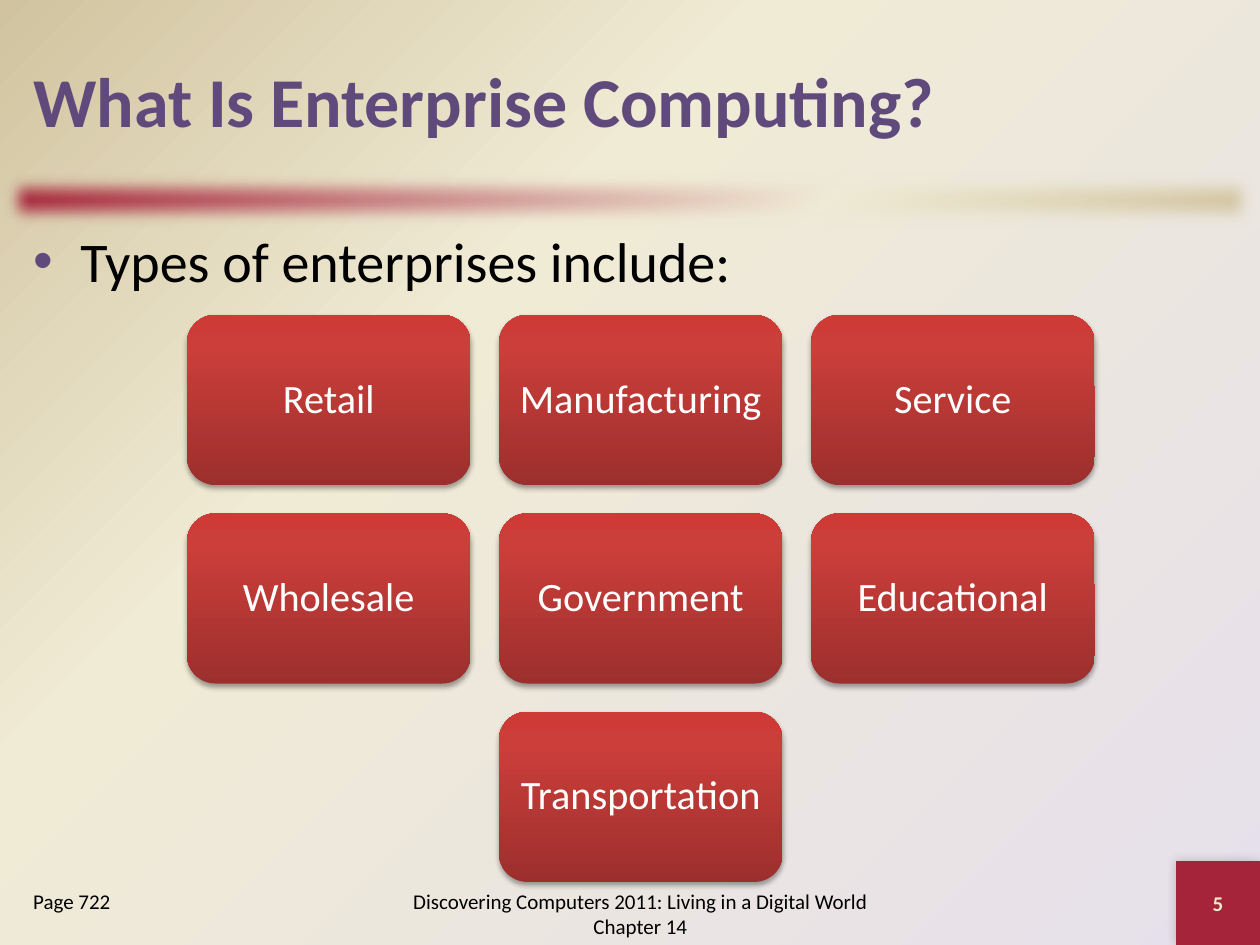
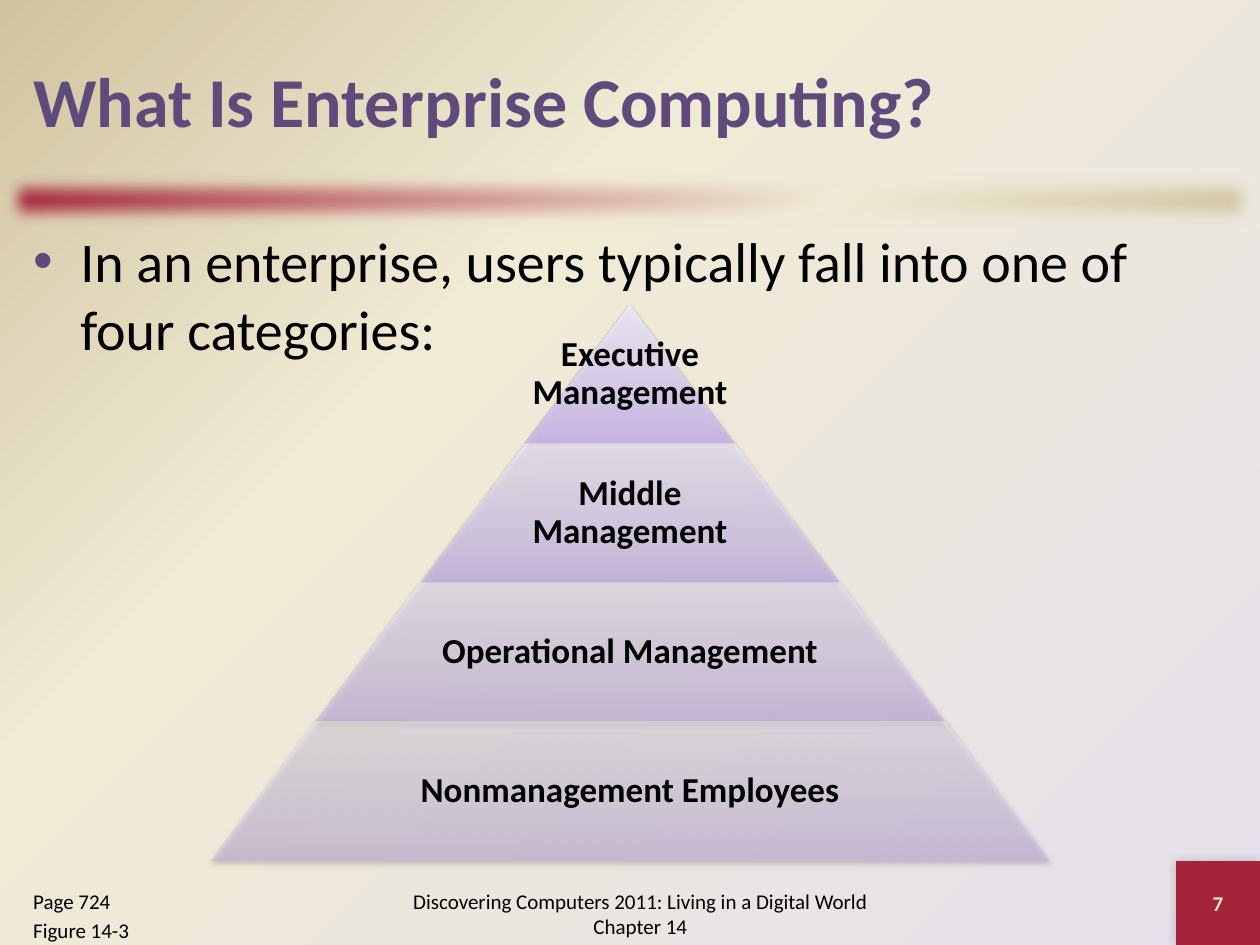
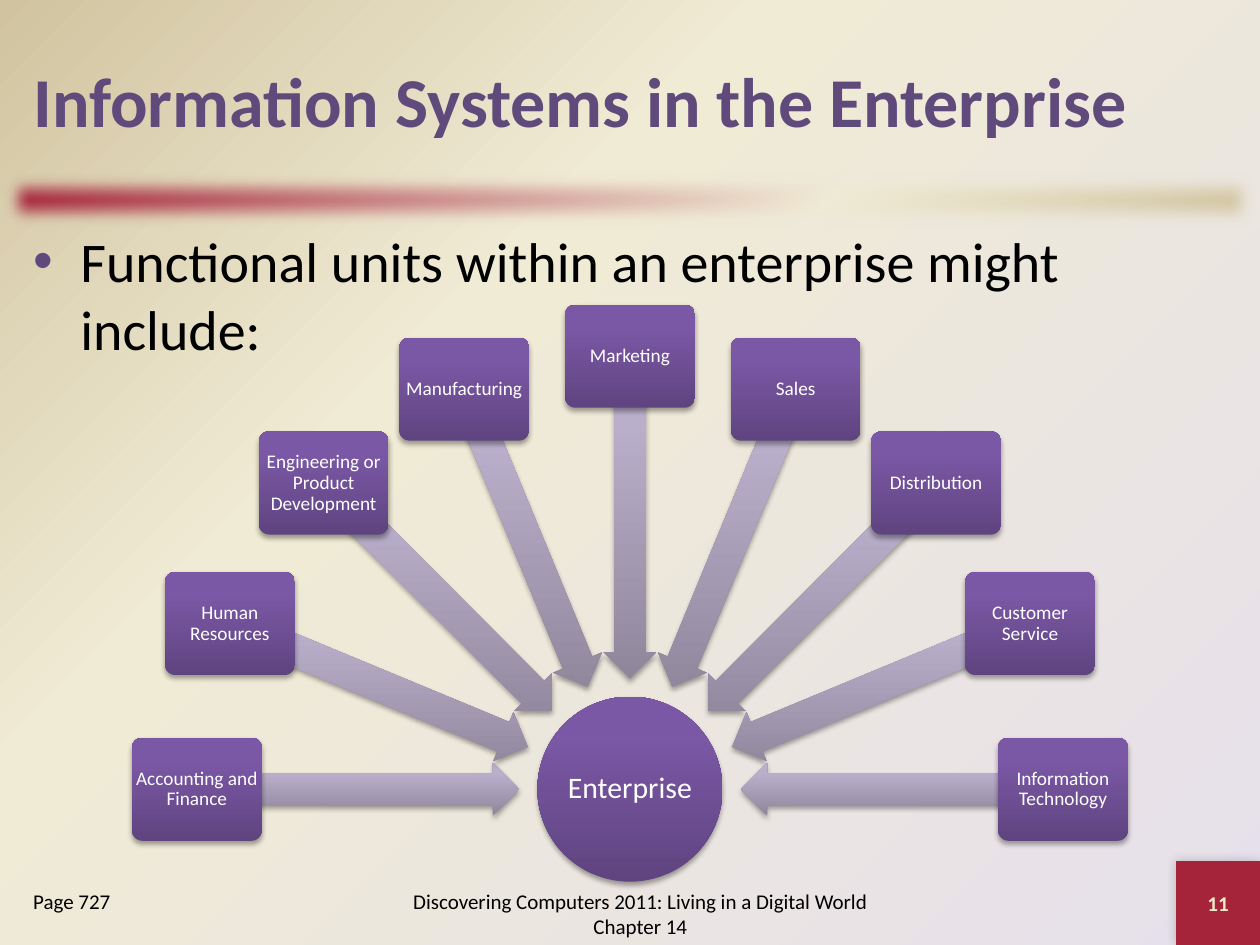
from math import cos, radians, sin

from pptx import Presentation
from pptx.dml.color import RGBColor
from pptx.enum.shapes import MSO_SHAPE
from pptx.enum.text import MSO_ANCHOR, MSO_AUTO_SIZE, PP_ALIGN
from pptx.oxml import parse_xml
from pptx.oxml.ns import nsdecls, qn
from pptx.util import Cm, Pt

FONT = "Calibri"
COLORS = {
    "purple": "604A7B", "crimson": "A52439", "cream": "F0EBD5", "sand": "D1C39F",
    "lilac": "E6E0EC", "ivory": "EEEBCA", "black": "000000", "white": "FFFFFF",
    "red dark": "9C2F2D", "red mid": "CB3E3A", "red light": "CE3B37",
    "violet dark": "5F4480", "violet mid": "7B58A6", "violet light": "7C57A8",
    "arrow dark": "8F869C", "arrow mid": "BAAFCB", "arrow light": "BAAFCC",
    "lavender dark": "C9B5E8", "lavender mid": "D8CBEE", "lavender light": "F0EAF9",
}

UPWARD = '<a:lin ang="16200000" scaled="0"/>'
DIAGONAL = '<a:lin ang="2700000" scaled="1"/>'
FROM_CORNER = '<a:path path="circle"><a:fillToRect l="100000" t="100000"/></a:path>'

SHADOW = (
    f'<a:outerShdw {nsdecls("a")} blurRad="{{}}" dist="{{}}" dir="{{}}" rotWithShape="0">'
    '<a:srgbClr val="000000"><a:alpha val="{}"/></a:srgbClr></a:outerShdw>'
)
DROP = SHADOW.format(Pt(3.1), Pt(1.8), 5400000, 35000)
CORNER_SHADOW = SHADOW.format(Pt(6), 0, 13500000, 20000)
SOFT_EDGE = f'<a:softEdge {nsdecls("a")} rad="{Cm(0.35)}"/>'

# Look of each kind of figure: colour stops, gradient direction, effect
LOOKS = {
    "band": ([(0, "crimson"), (65, "cream"), (100, "sand")], DIAGONAL, SOFT_EDGE),
    "corner": ([(0, "crimson")], None, CORNER_SHADOW),
    "enterprise type": ([(0, "red dark"), (80, "red mid"), (100, "red light")], UPWARD, DROP),
    "level": ([(0, "lavender dark"), (35, "lavender mid"), (100, "lavender light")], UPWARD, DROP),
    "unit": ([(0, "violet dark"), (80, "violet mid"), (100, "violet light")], UPWARD, DROP),
    "arrow": ([(0, "arrow dark"), (80, "arrow mid"), (100, "arrow light")], UPWARD, DROP),
}


def paint_gradient(properties, stops, direction, alpha=100):
    """Replace the solid fill in the properties element with a gradient."""
    stop_xml = "".join(
        f'<a:gs pos="{position * 1000}"><a:srgbClr val="{COLORS[name]}">'
        f'<a:alpha val="{alpha * 1000}"/></a:srgbClr></a:gs>'
        for position, name in stops
    )
    gradient = parse_xml(
        f'<a:gradFill {nsdecls("a")} rotWithShape="0"><a:gsLst>{stop_xml}</a:gsLst>'
        f"{direction}</a:gradFill>"
    )
    properties.replace(properties.find(qn("a:solidFill")), gradient)


def write(shape, lines, size, color, bold=False, align=PP_ALIGN.CENTER,
          anchor=MSO_ANCHOR.MIDDLE, inset=None, spacing=None):
    """Write one paragraph per line; inset is the side margin in cm."""
    frame = shape.text_frame
    frame.word_wrap = True
    frame.auto_size = MSO_AUTO_SIZE.NONE
    frame.vertical_anchor = anchor
    if inset is not None:
        frame.margin_left = frame.margin_right = Cm(inset)
    for index, line in enumerate(lines):
        paragraph = frame.add_paragraph() if index else frame.paragraphs[0]
        paragraph.alignment = align
        paragraph.line_spacing = spacing
        if index:
            paragraph.space_before = Pt(size * 0.2)
        run = paragraph.add_run()
        run.text = line
        run.font.name = FONT
        run.font.size = Pt(size)
        run.font.bold = bold
        run.font.color.rgb = RGBColor.from_string(COLORS[color])


presentation = Presentation()
presentation.slide_width = Cm(25.4)
presentation.slide_height = Cm(19.05)
master = presentation.slide_master
title_only = presentation.slide_layouts[5]
figures = []  # (shape, look, opacity)

master.background.fill.solid()
paint_gradient(master._element.find(".//" + qn("p:bgPr")),
               [(0, "lilac"), (65, "cream"), (100, "sand")], FROM_CORNER)

# Title, bullet, page reference and number of every slide
CONTENT = [
    ("What Is Enterprise Computing?", "Types of enterprises include:", ["Page 722"], "5"),
    ("What Is Enterprise Computing?",
     "In an enterprise, users typically fall into one of four categories:",
     ["Page 724", "Figure 14-3"], "7"),
    ("Information Systems in the Enterprise",
     "Functional units within an enterprise might include:", ["Page 727"], "11"),
]
FOOTER = "Discovering Computers 2011: Living in a Digital World Chapter 14"

slides = []
for title_text, bullet_text, page_lines, number in CONTENT:
    slide = presentation.slides.add_slide(title_only)
    slides.append(slide)
    title = slide.shapes.title
    title.left, title.top, title.width, title.height = Cm(0.42), Cm(0.42), Cm(24.56), Cm(3.18)
    write(title, [title_text], 40, "purple", True, PP_ALIGN.LEFT)

    body = slide.shapes.add_textbox(Cm(0.42), Cm(4.45), Cm(24.56), Cm(12.9))
    properties = body.text_frame.paragraphs[0]._p.get_or_add_pPr()
    properties.set("marL", str(Cm(0.95)))
    properties.set("indent", str(-Cm(0.95)))
    for bullet_xml in (
        f'<a:buClr {nsdecls("a")}><a:srgbClr val="{COLORS["purple"]}"/></a:buClr>',
        f'<a:buFont {nsdecls("a")} typeface="Arial"/>',
        f'<a:buChar {nsdecls("a")} char="•"/>',
    ):
        properties.append(parse_xml(bullet_xml))
    write(body, [bullet_text], 32, "black", align=PP_ALIGN.LEFT, anchor=MSO_ANCHOR.TOP)

    footer = slide.shapes.add_textbox(Cm(7.62), Cm(17.78), Cm(10.58), Cm(1.27))
    write(footer, [FOOTER], 12, "black")
    slide_number = slide.shapes.add_textbox(Cm(23.71), Cm(17.36), Cm(1.69), Cm(1.69))
    write(slide_number, [number], 12, "ivory", True)
    page = slide.shapes.add_textbox(Cm(0.42), Cm(17.78), Cm(4.66), Cm(1.27))
    write(page, page_lines, 12, "black", align=PP_ALIGN.LEFT, anchor=MSO_ANCHOR.TOP)

types_slide, levels_slide, units_slide = slides

# Band and number corner, shared through the master
band = types_slide.shapes.add_shape(MSO_SHAPE.RECTANGLE, 0, Cm(3.39), Cm(25.4), Cm(1.27))
corner = types_slide.shapes.add_shape(
    MSO_SHAPE.RECTANGLE, Cm(23.71), Cm(17.36), Cm(1.69), Cm(1.69))
master_tree = master._element.find(".//" + qn("p:spTree"))
for shape_id, (shape, look) in enumerate([(band, "band"), (corner, "corner")], 20):
    shape._element.nvSpPr.cNvPr.set("id", str(shape_id))
    master_tree.append(shape._element)
    figures.append((shape, look, 100))

# Types of enterprises: three columns, short rows centred
TYPE_ROWS = [
    ["Retail", "Manufacturing", "Service"],
    ["Wholesale", "Government", "Educational"],
    ["Transportation"],
]
for row, labels in enumerate(TYPE_ROWS):
    first_column = (3 - len(labels)) / 2
    for column, label in enumerate(labels):
        box = types_slide.shapes.add_shape(
            MSO_SHAPE.ROUNDED_RECTANGLE, Cm(3.77 + (first_column + column) * 6.29),
            Cm(6.35 + row * 4), Cm(5.72), Cm(3.43))
        write(box, [label], 23, "white", inset=0.05, spacing=0.9)
        figures.append((box, "enterprise type", 100))

# Pyramid of user levels
LEVELS = [
    ("Executive Management", 90), ("Middle Management", 77),
    ("Operational Management", 63), ("Nonmanagement Employees", 50),
]
CENTER_X, LEVEL_HEIGHT, WIDTH_STEP = 12.7, 2.8, 4.23
for index, (label, opacity) in enumerate(LEVELS):
    top = 6.14 + index * LEVEL_HEIGHT
    width = (index + 1) * WIDTH_STEP
    level = levels_slide.shapes.add_shape(
        MSO_SHAPE.TRAPEZOID, Cm(CENTER_X - width / 2), Cm(top), Cm(width), Cm(LEVEL_HEIGHT))
    level.adjustments[0] = WIDTH_STEP / 2 / LEVEL_HEIGHT
    figures.append((level, "level", opacity))
    text_width = max(WIDTH_STEP, 0.65 * width)
    caption = levels_slide.shapes.add_textbox(
        Cm(CENTER_X - text_width / 2), Cm(top), Cm(text_width), Cm(LEVEL_HEIGHT))
    write(caption, [label], 20, "black", True, inset=0.08, spacing=0.9)

# Functional units on a half circle around the enterprise
UNITS = [
    "Accounting and Finance", "Human Resources", "Engineering or Product Development",
    "Manufacturing", "Marketing", "Sales", "Distribution", "Customer Service",
    "Information Technology",
]
CENTER_Y, HUB_SIZE = 15.91, 3.73
UNIT_RADIUS, UNIT_WIDTH, UNIT_HEIGHT = 8.73, 2.62, 2.08
ARROW_RADIUS, ARROW_LENGTH, ARROW_HEIGHT = 5.47, 6.48, 1.07

hub = units_slide.shapes.add_shape(
    MSO_SHAPE.OVAL, Cm(CENTER_X - HUB_SIZE / 2), Cm(CENTER_Y - HUB_SIZE / 2),
    Cm(HUB_SIZE), Cm(HUB_SIZE))
write(hub, ["Enterprise"], 17, "white", inset=0, spacing=0.9)
figures.append((hub, "unit", 100))

for index, label in enumerate(UNITS):
    angle = 180 + index * 180 / (len(UNITS) - 1)
    across, down = cos(radians(angle)), sin(radians(angle))
    arrow = units_slide.shapes.add_shape(
        MSO_SHAPE.LEFT_ARROW, Cm(CENTER_X + ARROW_RADIUS * across - ARROW_LENGTH / 2),
        Cm(CENTER_Y + ARROW_RADIUS * down - ARROW_HEIGHT / 2),
        Cm(ARROW_LENGTH), Cm(ARROW_HEIGHT))
    arrow.rotation = angle % 360
    arrow.adjustments[0] = 0.6
    arrow.adjustments[1] = 0.5
    figures.append((arrow, "arrow", 100))
    unit = units_slide.shapes.add_shape(
        MSO_SHAPE.ROUNDED_RECTANGLE, Cm(CENTER_X + UNIT_RADIUS * across - UNIT_WIDTH / 2),
        Cm(CENTER_Y + UNIT_RADIUS * down - UNIT_HEIGHT / 2), Cm(UNIT_WIDTH), Cm(UNIT_HEIGHT))
    unit.adjustments[0] = 0.1
    write(unit, [label], 11, "white", inset=0, spacing=0.9)
    figures.append((unit, "unit", 100))

# Fill, line and effect of every figure
for shape, look, opacity in figures:
    stops, direction, effect = LOOKS[look]
    shape.fill.solid()
    shape.fill.fore_color.rgb = RGBColor.from_string(COLORS[stops[0][1]])
    shape.line.fill.background()
    shape.shadow.inherit = False
    properties = shape._element.spPr
    if direction:
        paint_gradient(properties, stops, direction, opacity)
    properties.find(qn("a:effectLst")).append(parse_xml(effect))

presentation.save("out.pptx")
